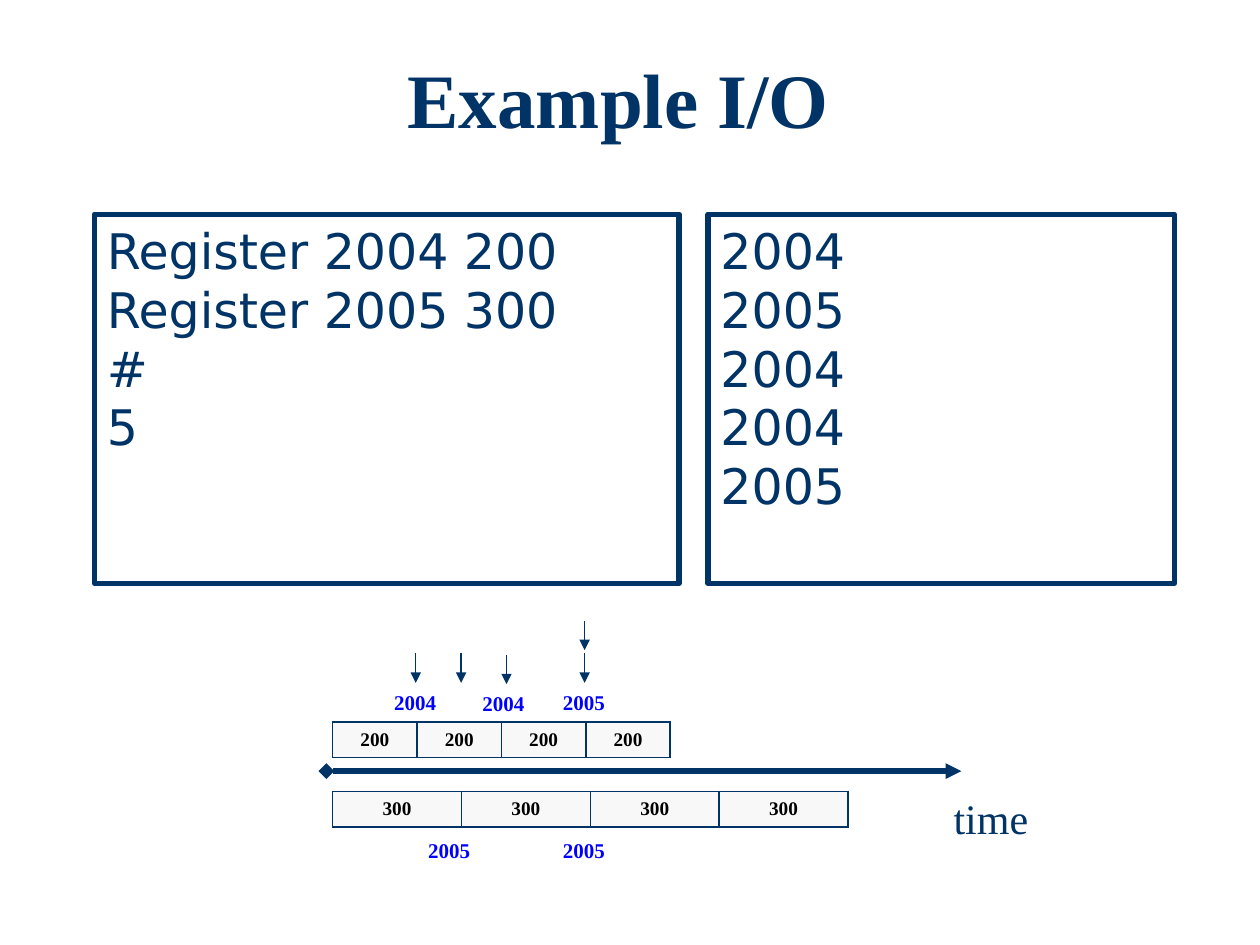
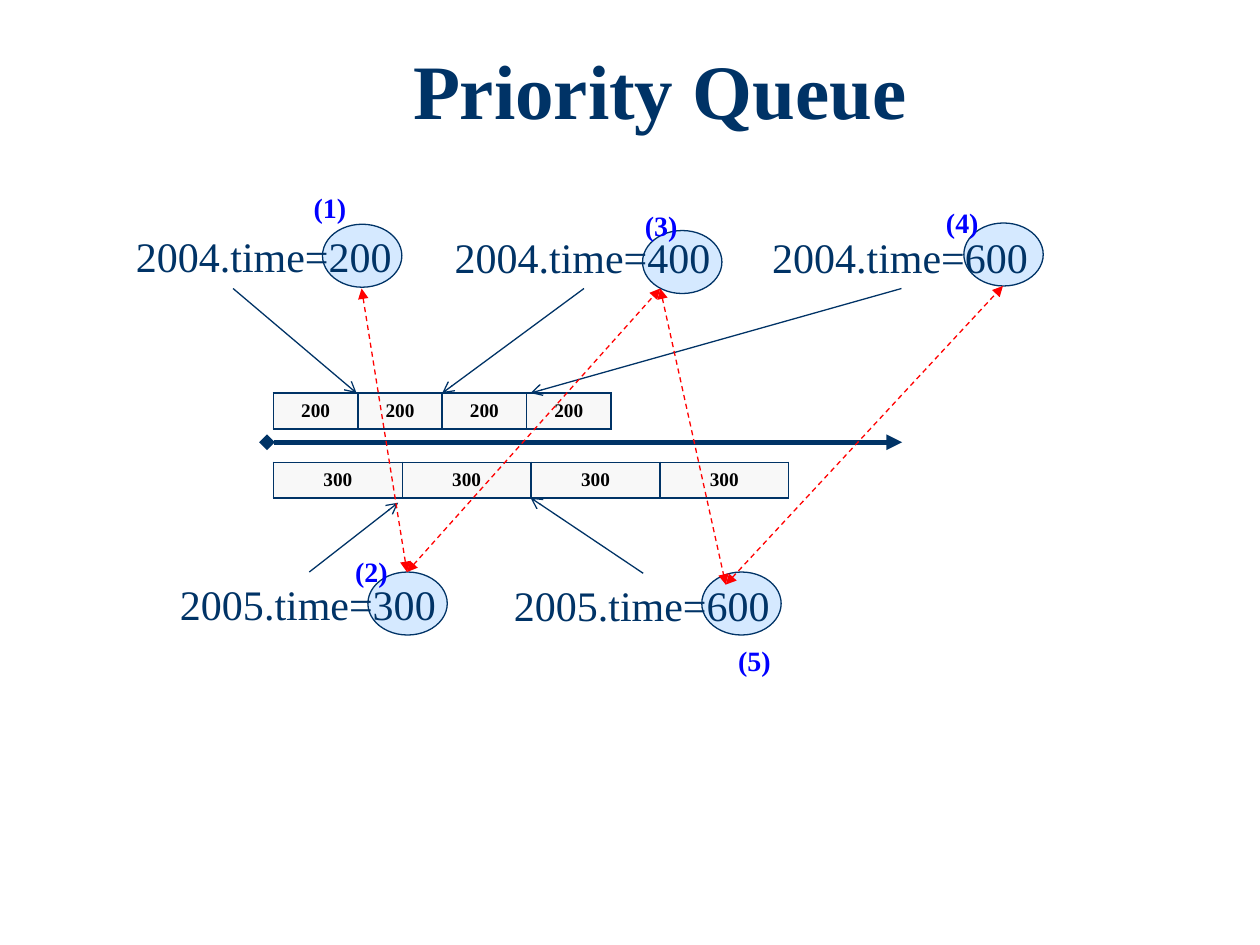
from dataclasses import dataclass

from lxml.etree import SubElement
from pptx import Presentation
from pptx.dml.color import RGBColor
from pptx.enum.dml import MSO_LINE
from pptx.enum.shapes import MSO_CONNECTOR, MSO_SHAPE
from pptx.enum.text import MSO_ANCHOR, MSO_AUTO_SIZE, PP_ALIGN
from pptx.oxml.ns import qn
from pptx.util import Pt

PX = 9144  # 100 px to the inch
TOP, BOTTOM = 0, 2  # connection sites


@dataclass(frozen=True)
class Theme:
    navy: str = "003366"
    blue: str = "0000FF"
    red: str = "FF0000"
    black: str = "000000"
    white: str = "FFFFFF"
    cell: str = "F8F8F8"
    bubble: str = "D5E9FF"
    serif: str = "Times New Roman"
    sans: str = "DejaVu Sans"
    title: int = 44
    listing: int = 28
    body: int = 24
    order: int = 16
    tag: int = 12
    period: int = 11
    thin: float = 0.75
    border: int = 1
    thick: int = 3


THEME = Theme()


def rgb(color):
    return RGBColor.from_string(color)


def px(*lengths):
    return [length * PX for length in lengths]


def add_span(para, text, size, color=THEME.navy, bold=False, font=THEME.serif):
    span = para.add_run()
    span.text = text
    span.font.name = font
    span.font.size = Pt(size)
    span.font.bold = bold
    span.font.color.rgb = rgb(color)


def add_title(page, text, left, top):
    box = page.shapes.add_textbox(*px(left, top, 800, 92))
    box.text_frame.word_wrap = True
    para = box.text_frame.paragraphs[0]
    para.alignment = PP_ALIGN.CENTER
    add_span(para, text, THEME.title, bold=True)


def add_label(page, text, at, size, color=THEME.navy, bold=False):
    box = page.shapes.add_textbox(*px(*at))
    frame = box.text_frame
    frame.word_wrap = False
    frame.auto_size = MSO_AUTO_SIZE.SHAPE_TO_FIT_TEXT
    add_span(frame.paragraphs[0], text, size, color, bold)
    return box


def add_tag(page, text, left, top):
    return add_label(page, text, (left, top, 54, 30), THEME.tag, THEME.blue, True)


def add_outlined(page, kind, at, fill, width):
    shape = page.shapes.add_shape(kind, *px(*at))
    shape.shadow.inherit = False
    shape.fill.solid()
    shape.fill.fore_color.rgb = rgb(fill)
    shape.line.color.rgb = rgb(THEME.navy)
    shape.line.width = Pt(width)
    return shape


def add_listing(page, lines, left, width):
    shape = add_outlined(page, MSO_SHAPE.RECTANGLE, (left, 170, width, 293),
                         THEME.white, THEME.thick)
    frame = shape.text_frame
    frame.word_wrap = True
    frame.vertical_anchor = MSO_ANCHOR.TOP
    for index, line in enumerate(lines):
        para = frame.add_paragraph() if index else frame.paragraphs[0]
        para.alignment = PP_ALIGN.LEFT
        add_span(para, line, THEME.listing, font=THEME.sans)


def add_line(page, start, end, color=THEME.navy, width=THEME.thin,
             head=None, tail="triangle", dashed=False):
    line = page.shapes.add_connector(MSO_CONNECTOR.STRAIGHT, *px(*start, *end))
    line.line.color.rgb = rgb(color)
    line.line.width = Pt(width)
    if dashed:
        line.line.dash_style = MSO_LINE.DASH
    properties = line._element.spPr
    outline = properties.find(qn("a:ln"))
    for name, kind in (("a:headEnd", head), ("a:tailEnd", tail)):
        if kind:
            SubElement(outline, qn(name), type=kind)
    SubElement(properties, qn("a:effectLst"))
    return line


def add_borders(cell):
    properties = cell._tc.get_or_add_tcPr()
    for index, side in enumerate(("a:lnL", "a:lnR", "a:lnT", "a:lnB")):
        edge = SubElement(properties, qn(side), w=str(Pt(THEME.border)))
        fill = SubElement(edge, qn("a:solidFill"))
        SubElement(fill, qn("a:srgbClr"), val=THEME.navy)
        properties.insert(index, edge)


def add_periods(page, period, left, top, width, count=4):
    """Draw one query's repeated period as a row of equal cells."""
    table = page.shapes.add_table(1, count, *px(left, top, width, 28)).table
    for column, cell in zip(table.columns, table.rows[0].cells):
        column.width = width * PX // count
        cell.fill.solid()
        cell.fill.fore_color.rgb = rgb(THEME.cell)
        cell.vertical_anchor = MSO_ANCHOR.MIDDLE
        add_borders(cell)
        para = cell.text_frame.paragraphs[0]
        para.alignment = PP_ALIGN.CENTER
        add_span(para, period, THEME.period, THEME.black, True)


def add_timeline(page, left, top):
    """Draw the time axis between the rows of 200 and 300 periods."""
    axis = top + 39
    add_line(page, (left - 5, axis), (left + 499, axis), width=THEME.thick,
             head="diamond")
    add_periods(page, "200", left, top, 268)
    add_periods(page, "300", left, top + 55, 409)


def add_example(page):
    add_title(page, "Example I/O", 91, 36)
    add_listing(page, ("Register 2004 200", "Register 2005 300", "#", "5"), 75, 464)
    add_listing(page, ("2004", "2005", "2004", "2004", "2005"), 562, 370)
    add_timeline(page, 264, 573)

    for left in (330, 437):
        add_tag(page, "2005", left, 660)
    for text, left in (("2004", 303), ("2005", 437)):
        tag = add_tag(page, text, left, 542)
        middle = left + 27
        add_line(page, (middle, 518), (middle, 542)).end_connect(tag, TOP)
    add_tag(page, "2004", 373, 543)
    for x, top, bottom in ((366, 518, 542), (402, 520, 543), (464, 493, 516)):
        add_line(page, (x, top), (x, bottom))
    add_label(page, "time", (747, 624, 80, 50), THEME.body)


def add_queue(page):
    # label, its place, bubble place, order mark, its place
    events = (
        ("2004.time=200", (98, 178), (256, 178), "(1)", (239, 146)),
        ("2005.time=300", (133, 454), (292, 454), "(2)", (272, 435)),
        ("2004.time=400", (351, 179), (510, 183), "(3)", (502, 161)),
        ("2004.time=600", (603, 179), (765, 177), "(4)", (741, 158)),
        ("2005.time=600", (398, 455), (557, 454), "(5)", (576, 506)),
    )
    for _, _, bubble, _, _ in events:
        add_outlined(page, MSO_SHAPE.OVAL, (*bubble, 63, 50), THEME.bubble, THEME.thin)
    add_title(page, "Priority Queue", 124, 29)
    add_timeline(page, 217, 312)

    labels = {}
    for text, place, _, order, mark in events:
        labels[order] = add_label(page, text, (*place, 225, 50), THEME.body)
        add_label(page, order, (*mark, 46, 37), THEME.order, THEME.blue, True)

    add_line(page, (185, 229), (283, 312), tail="arrow")
    for order, site, start, end in (
        ("(2)", TOP, (246, 454), (316, 399)),
        ("(3)", BOTTOM, (464, 230), (351, 312)),
        ("(4)", BOTTOM, (716, 230), (421, 312)),
        ("(5)", TOP, (510, 455), (421, 395)),
    ):
        pointer = add_line(page, start, end, tail="arrow")
        pointer.begin_connect(labels[order], site)

    sequence = ((287, 229), (323, 454), (524, 229), (576, 464), (796, 227))
    for start, end in zip(sequence, sequence[1:]):
        add_line(page, start, end, THEME.red, head="triangle", dashed=True)


def main():
    deck = Presentation()
    deck.slide_width, deck.slide_height = px(1000, 750)
    blank = deck.slide_layouts[6]
    for fill_page in (add_example, add_queue):
        fill_page(deck.slides.add_slide(blank))
    deck.save("out.pptx")


if __name__ == "__main__":
    main()
